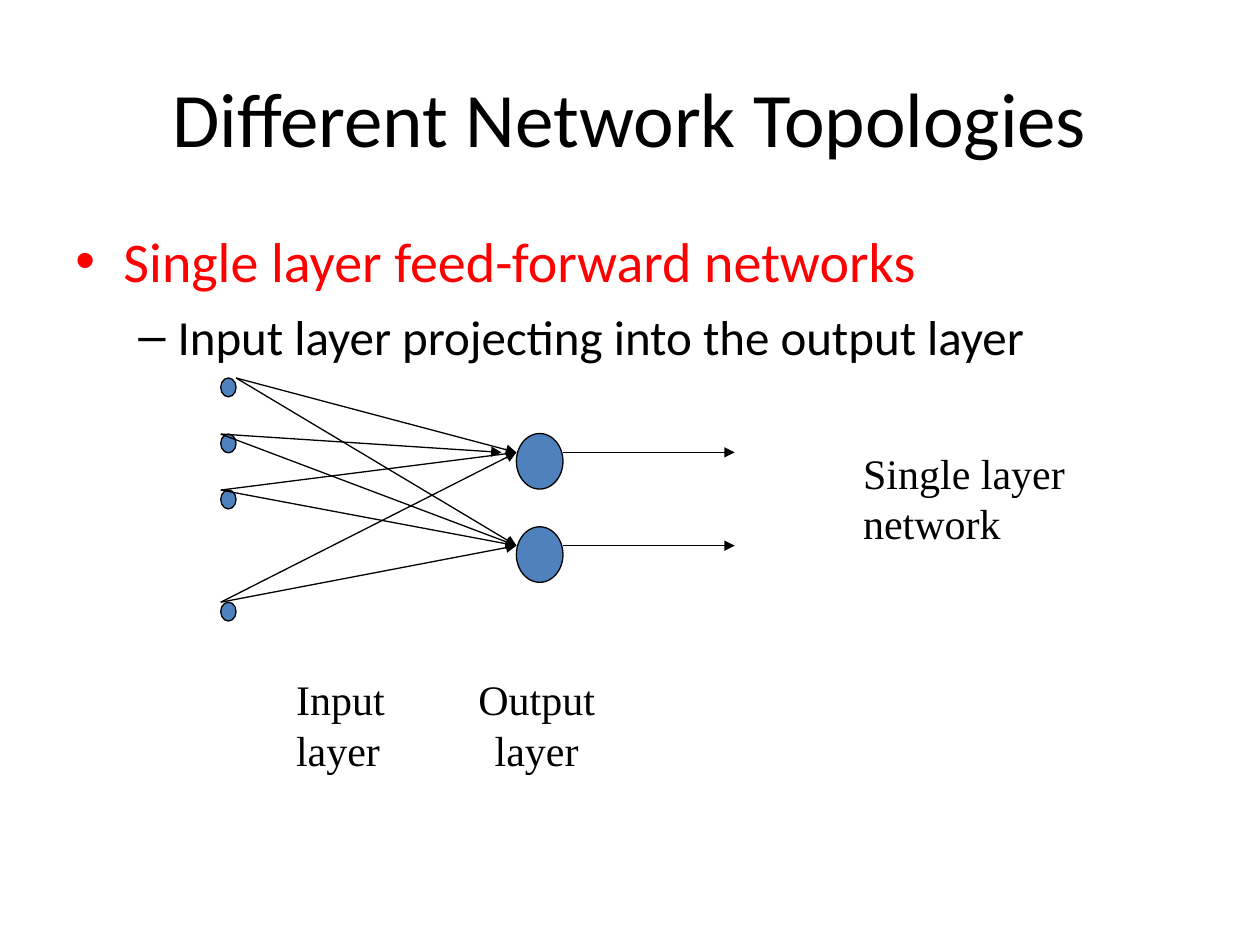
"""Build a slide showing a single layer feed-forward network."""
from lxml.etree import SubElement
from pptx import Presentation
from pptx.dml.color import RGBColor
from pptx.enum.shapes import MSO_CONNECTOR, MSO_SHAPE
from pptx.enum.text import MSO_ANCHOR, PP_ALIGN
from pptx.oxml.ns import qn
from pptx.util import Cm, Pt

COLORS = {"text": "000000", "accent": "FF0000", "node": "4F81BD", "paper": "FFFFFF"}
TITLE = "Different Network Topologies"
BULLETS = [
    ("Single layer feed-forward networks", "•", 32, "accent", 0.97, 0.97, 0),
    ("Input layer projecting into the output layer", "–", 28, "text", 2.06, 0.79, 7),
]
LABELS = [
    ("Input\nlayer", 5.72, 13.46, 3, PP_ALIGN.LEFT),
    ("Output\nlayer", 8.82, 13.46, 4, PP_ALIGN.CENTER),
    ("Single layer\nnetwork", 17.15, 8.89, 4.78, PP_ALIGN.LEFT),
]
INPUT_SLOTS = [0, 1, 2, 4]
INPUT_X, INPUT_Y, INPUT_STEP, INPUT_W, INPUT_H = 4.45, 7.62, 1.13, 0.31, 0.38
OUTPUT_X, OUTPUT_TOPS, OUTPUT_W, OUTPUT_H = 10.41, [8.74, 10.62], 0.94, 1.12
PORT_DROP, ARROW_END, SHORT_GAP = 0.38, 14.81, 0.3


def rgb(name):
    return RGBColor.from_string(COLORS[name])


def style(p, size, font, color="text", align=PP_ALIGN.LEFT):
    p.alignment = align
    for r in p.runs:
        r.font.size, r.font.name = Pt(size), font
        r.font.color.rgb = rgb(color)


def add_text(s, text, box, size, font, align, anchor=MSO_ANCHOR.TOP):
    tf = s.shapes.add_textbox(*map(Cm, box)).text_frame
    tf.word_wrap = True
    tf.vertical_anchor = anchor
    tf.text = text
    for p in tf.paragraphs:
        style(p, size, font, align=align)


def add_bullets(s):
    sp = s.shapes.add_shape(MSO_SHAPE.RECTANGLE, Cm(1.27), Cm(4.45), Cm(22.86), Cm(12.57))
    sp.shadow.inherit = False
    sp.fill.solid()
    sp.fill.fore_color.rgb = rgb("paper")
    sp.line.fill.background()
    tf = sp.text_frame
    tf.word_wrap = True
    tf.vertical_anchor = MSO_ANCHOR.TOP
    tf.text = "\n".join(item[0] for item in BULLETS)
    for level, (p, item) in enumerate(zip(tf.paragraphs, BULLETS)):
        _, mark, size, color, margin, hang, before = item
        p.level = level
        p.space_before = Pt(before)
        pPr = p._p.get_or_add_pPr()
        pPr.set("marL", str(Cm(margin)))
        pPr.set("indent", str(-Cm(hang)))
        SubElement(pPr, qn("a:buFont"), typeface="Arial")
        SubElement(pPr, qn("a:buChar"), char=mark)
        style(p, size, "Calibri", color)


def add_node(s, x, y, w, h):
    sp = s.shapes.add_shape(MSO_SHAPE.OVAL, Cm(x), Cm(y), Cm(w), Cm(h))
    sp.shadow.inherit = False
    sp.fill.solid()
    sp.fill.fore_color.rgb = rgb("node")
    sp.line.color.rgb = rgb("text")
    sp.line.width = Pt(0.75)


def add_arrow(s, x1, y1, x2, y2):
    line = s.shapes.add_connector(MSO_CONNECTOR.STRAIGHT, Cm(x1), Cm(y1), Cm(x2), Cm(y2))
    line.line.color.rgb = rgb("text")
    line.line.width = Pt(0.75)
    SubElement(line.line._get_or_add_ln(), qn("a:tailEnd"), type="triangle")
    SubElement(line._element.spPr, qn("a:effectLst"))


def add_network(s):
    input_tops = [INPUT_Y + slot * INPUT_STEP for slot in INPUT_SLOTS]
    for y in OUTPUT_TOPS:
        add_node(s, OUTPUT_X, y, OUTPUT_W, OUTPUT_H)
    for y in input_tops:
        add_node(s, INPUT_X, y, INPUT_W, INPUT_H)
    for i, y in enumerate(input_tops):
        start = INPUT_X + (INPUT_W if i == 0 else 0)
        for j, top in enumerate(OUTPUT_TOPS):
            end = OUTPUT_X - (SHORT_GAP if (i, j) == (1, 0) else 0)
            add_arrow(s, start, y, end, top + PORT_DROP)
    for top in OUTPUT_TOPS:
        add_arrow(s, OUTPUT_X + OUTPUT_W, top + PORT_DROP, ARROW_END, top + PORT_DROP)


def main():
    prs = Presentation()
    prs.slide_width, prs.slide_height = Cm(25.4), Cm(19.05)
    s = prs.slides.add_slide(prs.slide_layouts[6])
    add_text(s, TITLE, (1.27, 0.76, 22.86, 3.18), 44, "Calibri",
             PP_ALIGN.CENTER, MSO_ANCHOR.MIDDLE)
    add_bullets(s)
    add_network(s)
    for text, x, y, w, align in LABELS:
        add_text(s, text, (x, y, w, 2.29), 24, "Times New Roman", align)
    prs.save("out.pptx")


if __name__ == "__main__":
    main()
